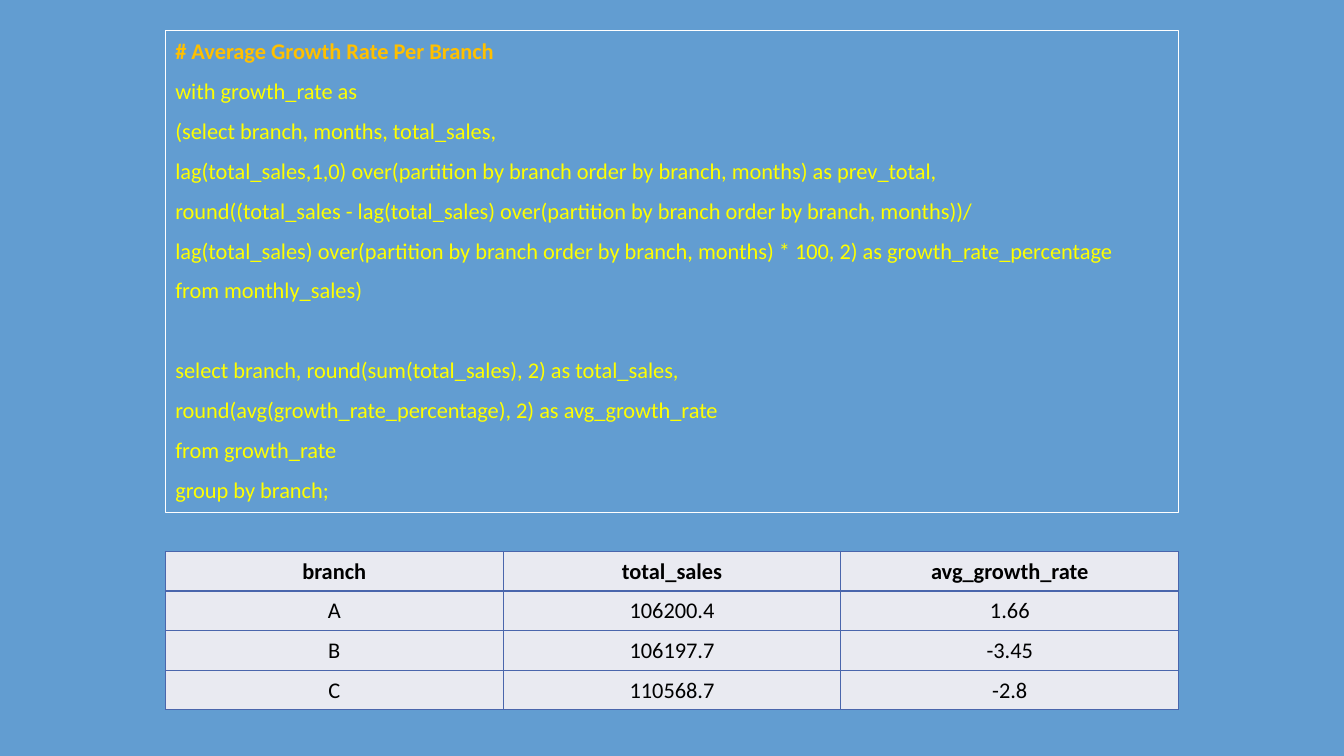
from lxml.etree import SubElement
from pptx import Presentation
from pptx.dml.color import RGBColor
from pptx.enum.text import MSO_ANCHOR, PP_ALIGN
from pptx.oxml.ns import qn
from pptx.util import Inches, Pt

SKY = RGBColor(0x62, 0x9D, 0xD1)
WHITE = RGBColor(0xFF, 0xFF, 0xFF)
BLACK = RGBColor(0x00, 0x00, 0x00)
GOLD = RGBColor(0xFF, 0xC0, 0x00)
YELLOW = RGBColor(0xFF, 0xFF, 0x00)
PALE = RGBColor(0xE9, 0xEA, 0xF1)
BORDER_BLUE = RGBColor(0x4A, 0x66, 0xAC)

LEFT, WIDTH = 1.64, 10.05
ROW_HEIGHT = 0.393

TITLE = "# Average Growth Rate Per Branch"
GROWTH_CTE = [
    "with growth_rate as",
    "(select branch, months, total_sales,",
    "lag(total_sales,1,0) over(partition by branch order by branch, months) as prev_total,",
    "round((total_sales - lag(total_sales) over(partition by branch order by branch, months))/",
    "lag(total_sales) over(partition by branch order by branch, months) * 100, 2) as growth_rate_percentage",
    "from monthly_sales)",
]
BRANCH_SELECT = [
    "select branch, round(sum(total_sales), 2) as total_sales,",
    "round(avg(growth_rate_percentage), 2) as avg_growth_rate",
    "from growth_rate",
    "group by branch;",
]
RESULTS = [
    ("branch", "total_sales", "avg_growth_rate"),
    ("A", "106200.4", "1.66"),
    ("B", "106197.7", "-3.45"),
    ("C", "110568.7", "-2.8"),
]


def style_font(paragraph, color, bold=False):
    font = paragraph.font
    font.name, font.size, font.bold = "Calibri", Pt(16), bold
    font.color.rgb = color


def add_query(slide):
    query = slide.shapes.add_textbox(Inches(LEFT), Inches(0.3), Inches(WIDTH), Inches(4.78))
    query.line.color.rgb = WHITE
    query.line.width = Pt(0.75)
    frame = query.text_frame
    frame.word_wrap = True
    frame.text = "\n".join([TITLE, *GROWTH_CTE, *BRANCH_SELECT])
    for index, line in enumerate(frame.paragraphs):
        is_title = index == 0
        style_font(line, GOLD if is_title else YELLOW, bold=is_title)
        line.line_spacing = 1.07
        line.space_after = Pt(8)
    # One line's height separates the two statements
    frame.paragraphs[len(GROWTH_CTE)].space_after = Pt(36.6)


def add_borders(cell):
    properties = cell._tc.get_or_add_tcPr()
    for index, side in enumerate(("a:lnL", "a:lnR", "a:lnT", "a:lnB")):
        border = SubElement(properties, qn(side), w=str(Pt(1)))
        fill = SubElement(border, qn("a:solidFill"))
        SubElement(fill, qn("a:srgbClr"), val=str(BORDER_BLUE))
        properties.insert(index, border)  # borders precede the cell fill


def fill_cell(cell, value, bold):
    cell.text = value
    cell.vertical_anchor = MSO_ANCHOR.MIDDLE
    cell.margin_left = cell.margin_right = cell.margin_top = Inches(0.01)
    cell.margin_bottom = 0
    cell.fill.solid()
    cell.fill.fore_color.rgb = PALE
    add_borders(cell)
    label = cell.text_frame.paragraphs[0]
    label.alignment = PP_ALIGN.CENTER
    style_font(label, BLACK, bold)


def add_results(slide):
    table = slide.shapes.add_table(
        len(RESULTS), len(RESULTS[0]), Inches(LEFT), Inches(5.47),
        Inches(WIDTH), Inches(ROW_HEIGHT * len(RESULTS)),
    ).table
    table.horz_banding = False
    for row, values in enumerate(RESULTS):
        for column, value in enumerate(values):
            fill_cell(table.cell(row, column), value, bold=row == 0)


def main():
    deck = Presentation()
    deck.slide_width, deck.slide_height = Inches(13.33), Inches(7.5)
    slide = deck.slides.add_slide(deck.slide_layouts[6])
    slide.background.fill.solid()
    slide.background.fill.fore_color.rgb = SKY
    add_query(slide)
    add_results(slide)
    deck.save("out.pptx")


if __name__ == "__main__":
    main()
